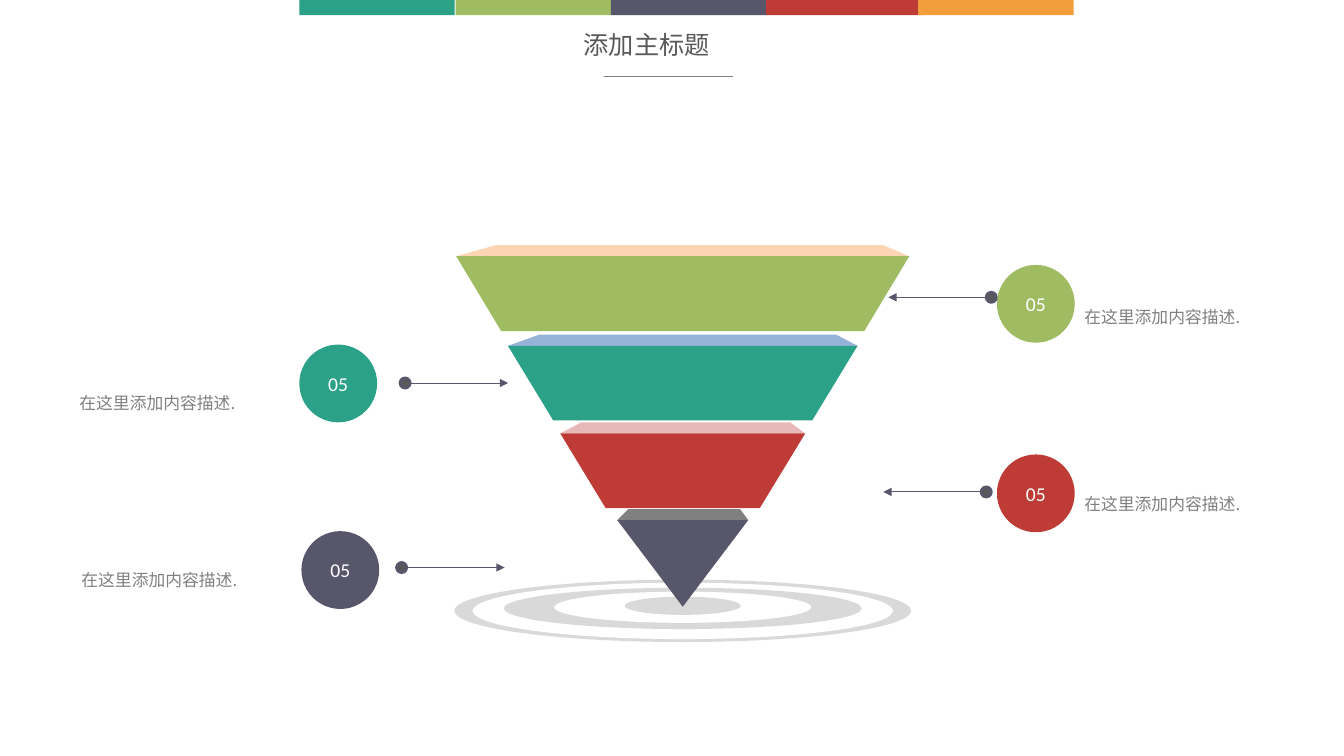
from lxml import etree
from pptx import Presentation
from pptx import util as u
from pptx.dml.color import RGBColor
from pptx.enum import shapes, text
from pptx.oxml import ns

COLORS = {
    "teal": "2BA187", "green": "9FBC62", "slate": "58566A", "red": "BF3B36",
    "orange": "F39D3D", "peach": "FCD5B5", "blue": "95B3D7", "pink": "E6B9B8",
    "gray": "808080", "ring": "D9D9D9", "dark": "595959", "white": "FFFFFF",
}
CJK = "Noto Sans CJK SC"
CENTER_X = 487.7
CIRCLE = 55.6
DOT = 7.2
ARROW = 73.6
LID_HEIGHT = 7.9
BOX_FORMAT = {
    "word_wrap": True,
    "auto_size": text.MSO_AUTO_SIZE.SHAPE_TO_FIT_TEXT,
    "vertical_anchor": text.MSO_ANCHOR.TOP,
    "margin_left": u.Pt(7.2), "margin_right": u.Pt(7.2),
    "margin_top": u.Pt(3.6), "margin_bottom": u.Pt(3.6),
}
CIRCLE_FORMAT = {**BOX_FORMAT, "auto_size": text.MSO_AUTO_SIZE.NONE,
                 "vertical_anchor": text.MSO_ANCHOR.MIDDLE}


def rgb(color):
    return RGBColor.from_string(COLORS[color])


def apply(target, values):
    for name, value in values.items():
        setattr(target, name, value)


def write(frame, wording, size, color, font, align, frame_format):
    apply(frame, frame_format)
    paragraph = frame.paragraphs[0]
    paragraph.alignment = align
    run = paragraph.add_run()
    run.text = wording
    apply(run.font, {"size": u.Pt(size), "name": font, "bold": False})
    run.font.color.rgb = rgb(color)
    east_asian = etree.SubElement(run.font._element, ns.qn("a:ea"))
    east_asian.set("typeface", font)


def paint(shape, color):
    shape.shadow.inherit = False
    shape.fill.solid()
    shape.fill.fore_color.rgb = rgb(color)
    shape.line.fill.background()
    return shape


def add_preset(slide, preset, color, *box):
    return paint(slide.shapes.add_shape(preset, *map(u.Pt, box)), color)


def add_oval(slide, color, *box):
    return add_preset(slide, shapes.MSO_SHAPE.OVAL, color, *box)


def add_polygon(slide, color, points):
    start, *rest = [(u.Pt(x), u.Pt(y)) for x, y in points]
    builder = slide.shapes.build_freeform(*start)
    builder.add_line_segments(rest, close=True)
    paint(builder.convert_to_shape(), color)


def add_rule(slide, color, x1, x2, y, arrow=False):
    rule = slide.shapes.add_connector(
        shapes.MSO_CONNECTOR.STRAIGHT, u.Pt(x1), u.Pt(y), u.Pt(x2), u.Pt(y))
    rule.line.color.rgb = rgb(color)
    rule.line.width = u.Pt(0.75)
    if arrow:
        head = etree.SubElement(rule.line._get_or_add_ln(), ns.qn("a:tailEnd"))
        head.set("type", "triangle")
    etree.SubElement(rule._element.spPr, ns.qn("a:effectLst"))


def add_title(slide, wording):
    title = slide.shapes.title
    apply(title, {"left": u.Pt(409.7), "top": u.Pt(17.3),
                  "width": u.Pt(137.5), "height": u.Pt(36.7)})
    write(title.text_frame, wording, 18, "dark", CJK, text.PP_ALIGN.LEFT, BOX_FORMAT)


def add_tier(slide, face, lid, top, height, half, bottom_half, lid_left, lid_right):
    left, right = CENTER_X - half, CENTER_X + half
    add_polygon(slide, lid, [(left + lid_left, top - LID_HEIGHT),
                             (right - lid_right, top - LID_HEIGHT),
                             (right, top), (left, top)])
    bottom = [(CENTER_X + bottom_half, top + height)]
    if bottom_half:
        bottom.append((CENTER_X - bottom_half, top + height))
    add_polygon(slide, face, [(left, top), (right, top), *bottom])


def add_callout(slide, color, circle, dot, direction, caption):
    badge = add_oval(slide, color, *circle, CIRCLE, CIRCLE)
    write(badge.text_frame, "05", 14, "white", "Calibri",
          text.PP_ALIGN.CENTER, CIRCLE_FORMAT)
    x, y = dot
    add_rule(slide, "slate", x, x + direction * ARROW, y, arrow=True)
    knob = add_oval(slide, "dark", x - DOT / 2, y - DOT / 2, DOT, DOT)
    knob.line.color.rgb = rgb("slate")
    knob.line.width = u.Pt(2)
    box = slide.shapes.add_textbox(*map(u.Pt, (*caption, 165.6, 27.4)))
    write(box.text_frame, "在这里添加内容描述.", 12, "gray", CJK,
          text.PP_ALIGN.LEFT, BOX_FORMAT)


def main():
    deck = Presentation()
    apply(deck, {"slide_width": u.Pt(960), "slide_height": u.Pt(540)})
    slide = deck.slides.add_slide(deck.slide_layouts[5])

    bands = [("teal", 213.8), ("green", 325.4), ("slate", 436.3),
             ("red", 547.2), ("orange", 655.9)]
    for color, left in bands:
        add_preset(slide, shapes.MSO_SHAPE.RECTANGLE, color, left, 0, 111, 10.8)

    add_title(slide, "添加主标题")
    add_rule(slide, "gray", 431.3, 523.4, 54.7)

    rings = [("ring", 326.2, 414, 44.6), ("white", 300.2, 416.2, 40.3),
             ("ring", 255.6, 419.8, 29.5), ("white", 183.6, 422.6, 22.3),
             ("ring", 82.8, 426.2, 13)]
    for color, width, top, height in rings:
        add_oval(slide, color, CENTER_X - width / 2, top, width, height)

    tiers = [("slate", "gray", 371.5, 61.9, 46.8, 0, 7.9, 5.8),
             ("red", "pink", 309.6, 53.3, 87.5, 55.1, 15.1, 10.8),
             ("teal", "blue", 247, 53.3, 124.9, 92.5, 22.3, 15.1),
             ("green", "peach", 183, 53.6, 161.8, 129.6, 28.4, 18.7)]
    for tier in tiers:
        add_tier(slide, *tier)

    callouts = [("teal", (213.8, 246.1), (289.4, 273.6), 1, (49.7, 277.2)),
                ("slate", (215.3, 379.4), (286.9, 405.4), 1, (51.1, 403.2)),
                ("green", (712.1, 189.2), (708.1, 212.4), -1, (767.5, 215.3)),
                ("red", (712.1, 324.6), (704.5, 351.4), -1, (767.5, 349.2))]
    for callout in callouts:
        add_callout(slide, *callout)

    deck.save("out.pptx")


if __name__ == "__main__":
    main()
